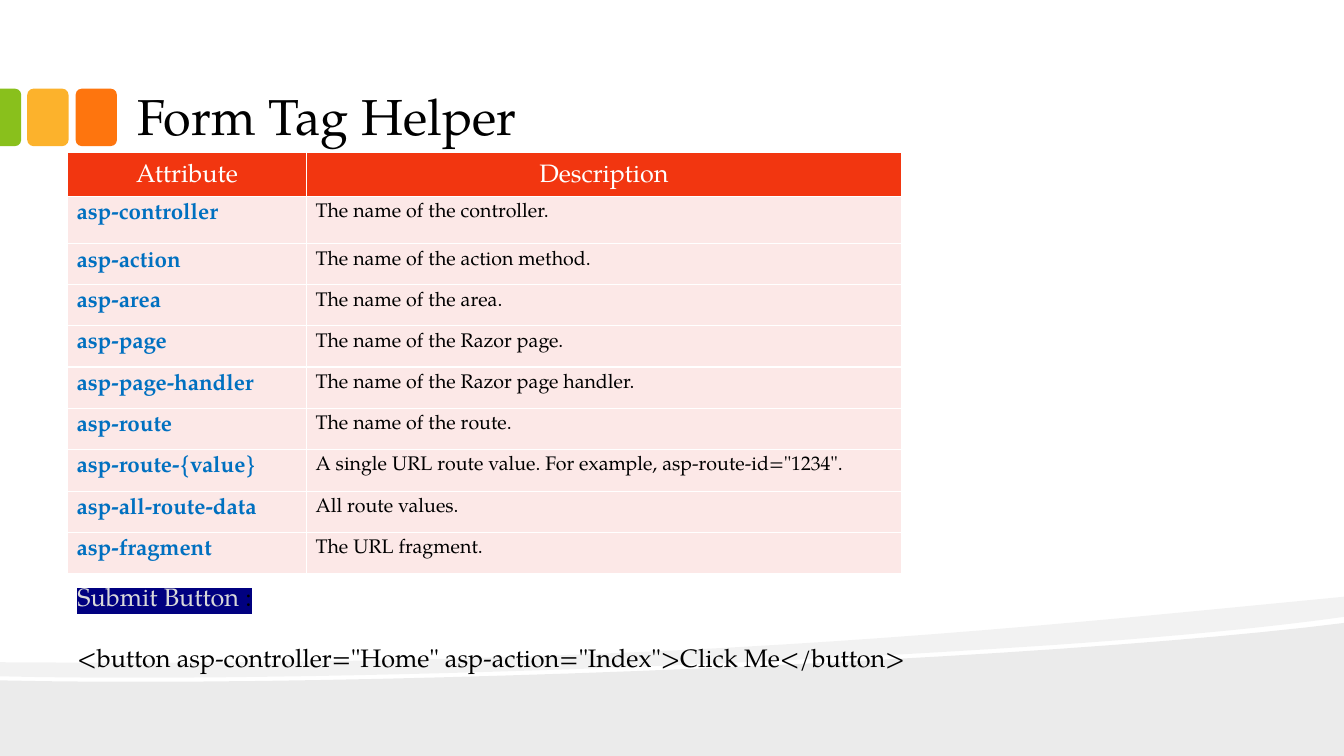
import pptx
import pptx.util
import pptx.dml.color
import pptx.enum.shapes
import pptx.enum.text
import pptx.oxml.ns
from lxml import etree

Inches, Pt = pptx.util.Inches, pptx.util.Pt
SHAPE = pptx.enum.shapes.MSO_SHAPE
ANCHOR = pptx.enum.text.MSO_ANCHOR
ALIGN = pptx.enum.text.PP_ALIGN
qn = pptx.oxml.ns.qn

COLORS = {
    "black": "000000", "white": "FFFFFF", "orange": "FE750E", "amber": "FCB22C",
    "green": "89C01C", "header": "F23610", "row": "FCE8E7", "attribute": "0070C0",
    "label": "D9D9D9", "navy": "000080",
}
ATTRIBUTES = [
    ("asp-controller", "The name of the controller."),
    ("asp-action", "The name of the action method."),
    ("asp-area", "The name of the area."),
    ("asp-page", "The name of the Razor page."),
    ("asp-page-handler", "The name of the Razor page handler."),
    ("asp-route", "The name of the route."),
    ("asp-route-{value}", 'A single URL route value. For example, asp-route-id="1234".'),
    ("asp-all-route-data", "All route values."),
    ("asp-fragment", "The URL fragment."),
]


def curve(start, control1, control2, end, steps=24):
    """Points along a cubic Bezier curve, without its start."""
    points = []
    for step in range(1, steps + 1):
        t = step / steps
        weights = ((1 - t) ** 3, 3 * t * (1 - t) ** 2, 3 * t * t * (1 - t), t ** 3)
        points.append(tuple(sum(w * p[axis] for w, p in zip(weights, (start, control1, control2, end)))
                            for axis in (0, 1)))
    return points


class SlideBuilder:
    font = "TeX Gyre Pagella"

    def __init__(self, slide):
        self.shapes = slide.shapes

    def color(self, name):
        return pptx.dml.color.RGBColor.from_string(COLORS[name])

    def paint(self, shape, color):
        shape.shadow.inherit = False
        shape.fill.solid()
        shape.fill.fore_color.rgb = self.color(color)
        shape.line.fill.background()

    def run(self, paragraph, text, size, color, bold=False, highlight=None):
        run = paragraph.add_run()
        run.text = text
        run.font.size, run.font.bold = Pt(size), bold
        run.font.color.rgb = self.color(color)
        if highlight:
            mark = etree.Element(qn("a:highlight"))
            etree.SubElement(mark, qn("a:srgbClr"), val=COLORS[highlight])
            run._r.get_or_add_rPr().find(qn("a:solidFill")).addnext(mark)
        run.font.name = self.font

    def tab(self, kind, left, top, width, height, color, adjustments, rotation=0):
        tab = self.shapes.add_shape(kind, Inches(left), Inches(top), Inches(width), Inches(height))
        for index, value in enumerate(adjustments):
            tab.adjustments[index] = value
        tab.rotation = rotation
        self.paint(tab, color)

    def wave(self, points, opacity):
        corners = [(Inches(x), Inches(y)) for x, y in points]
        builder = self.shapes.build_freeform(*corners[0])
        builder.add_line_segments(corners[1:], close=True)
        wave = builder.convert_to_shape()
        self.paint(wave, "black")
        shade = wave._element.spPr.find(qn("a:solidFill"))[0]
        etree.SubElement(shade, qn("a:alpha"), val=str(opacity * 1000))

    def text_box(self, left, top, width, height, insets=(0.1, 0.05), anchor=ANCHOR.TOP):
        frame = self.shapes.add_textbox(Inches(left), Inches(top), Inches(width), Inches(height)).text_frame
        frame.word_wrap = True
        frame.vertical_anchor = anchor
        frame.margin_left = frame.margin_right = Inches(insets[0])
        frame.margin_top = frame.margin_bottom = Inches(insets[1])
        return frame

    def cell(self, cell, text, size, color, fill, bold=False, header=False):
        cell.fill.solid()
        cell.fill.fore_color.rgb = self.color(fill)
        cell.margin_left = cell.margin_right = Inches(0.09)
        cell.margin_top = cell.margin_bottom = Inches(0.07)
        cell.vertical_anchor = ANCHOR.BOTTOM if header else ANCHOR.TOP
        paragraph = cell.text_frame.paragraphs[0]
        paragraph.alignment = ALIGN.CENTER if header else ALIGN.LEFT
        self.run(paragraph, text, size, color, bold)
        properties = cell._tc.get_or_add_tcPr()
        for index, side in enumerate(("lnL", "lnR", "lnT", "lnB")):
            border = etree.Element(qn("a:" + side), w=str(Pt(1)))
            stroke = etree.SubElement(border, qn("a:solidFill"))
            etree.SubElement(stroke, qn("a:srgbClr"), val=COLORS["white"])
            properties.insert(index, border)

    def table(self, left, top, widths, heights, header, rows):
        table = self.shapes.add_table(len(heights), len(widths), Inches(left), Inches(top),
                                      Inches(sum(widths)), Inches(sum(heights))).table
        for column, width in zip(table.columns, widths):
            column.width = Inches(width)
        for row, height in zip(table.rows, heights):
            row.height = Inches(height)
        for column, title in enumerate(header):
            self.cell(table.cell(0, column), title, 18, "white", "header", header=True)
        for row, (attribute, description) in enumerate(rows, start=1):
            self.cell(table.cell(row, 0), attribute, 16, "attribute", "row", bold=True)
            self.cell(table.cell(row, 1), description, 14, "black", "row")


def main():
    deck = pptx.Presentation()
    deck.slide_width, deck.slide_height = Inches(13.33), Inches(7.5)
    page = SlideBuilder(deck.slides.add_slide(deck.slide_layouts[6]))

    # Waves at the foot
    page.wave([(13.33, 7.5), (0, 7.5), (0, 6.75),
               *curve((0, 6.75), (3.52, 6.83), (10.42, 6.55), (13.33, 6.18))], 8)
    page.wave([(13.33, 5.92), (13.33, 6.12),
               *curve((13.33, 6.12), (12.55, 6.23), (11.49, 6.33), (10.29, 6.41)),
               *curve((10.29, 6.41), (6.98, 6.63), (2.58, 6.77), (0, 6.71)), (0, 6.57),
               *curve((0, 6.57), (6.52, 6.62), (9.71, 6.27), (13.33, 5.92))], 5)

    # Coloured tabs beside the title
    for left, color in ((0.75, "orange"), (0.27, "amber")):
        page.tab(SHAPE.ROUNDED_RECTANGLE, left, 0.88, 0.41, 0.57, color, [0.15])
    page.tab(SHAPE.ROUND_2_SAME_RECTANGLE, -0.18, 1.06, 0.57, 0.21, "green", [0.29, 0], 90)

    # Title
    title = page.text_box(1.23, 0.59, 10.28, 0.92, (0.13, 0.07), ANCHOR.BOTTOM)
    page.run(title.paragraphs[0], "Form Tag Helper", 36, "black")

    # Attribute table
    page.table(0.67, 1.51, [2.37, 5.9], [0.43, 0.47, 0.4, 0.35, 0.41, 0.41, 0.35, 0.42, 0.4, 0.4],
               ("Attribute", "Description"), ATTRIBUTES)

    # Submit button example
    example = page.text_box(0.67, 5.72, 8.59, 1.01)
    label = example.paragraphs[0]
    page.run(label, "Submit Button ", 18, "label", highlight="navy")
    page.run(label, ":", 18, "black", highlight="navy")
    code = example.add_paragraph()
    code.space_before = Pt(22)
    page.run(code, '<button asp-controller="Home" asp-action="Index">Click Me</button>', 18, "black")

    deck.save("out.pptx")


if __name__ == "__main__":
    main()
